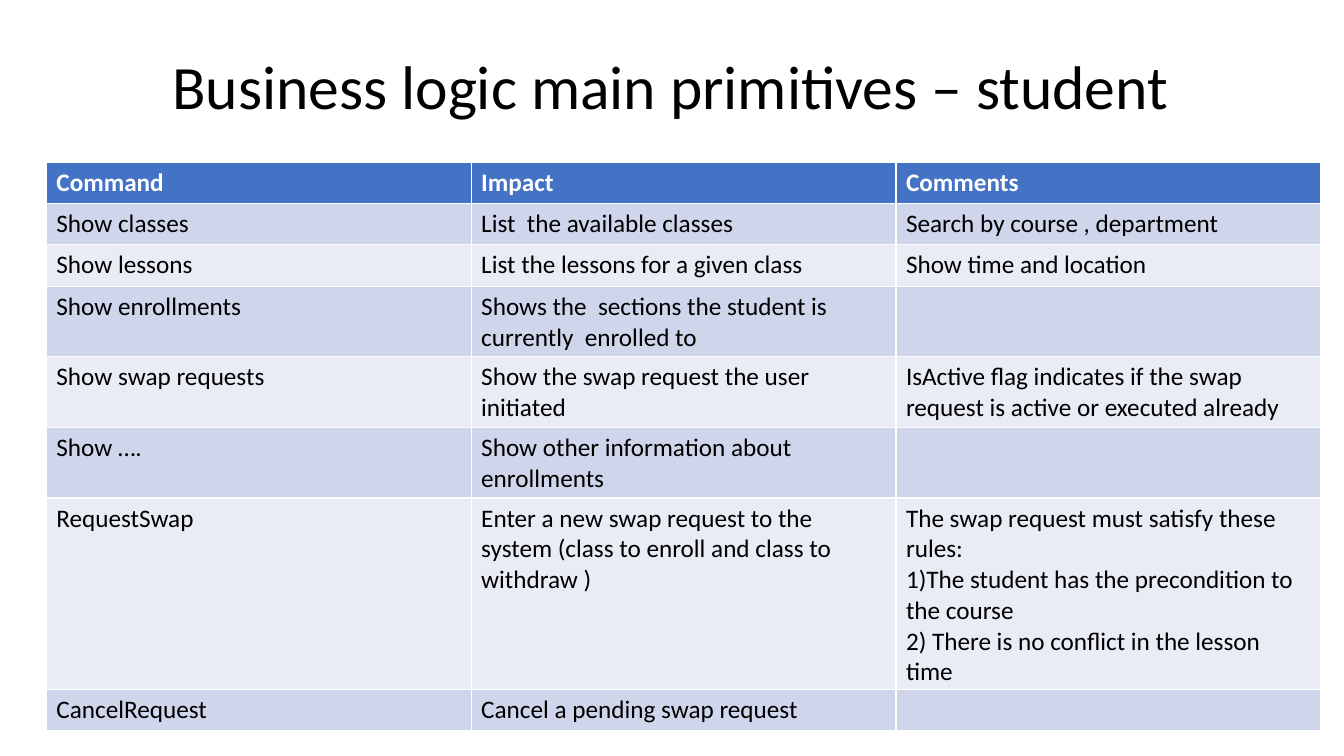
import dataclasses

import pptx
import pptx.dml.color
import pptx.enum.text
import pptx.util

Inches = pptx.util.Inches
FONT = "Calibri"
BLACK, WHITE = "000000", "FFFFFF"
HEAD, DARK, LIGHT = "4472C4", "CFD5EA", "E9EBF5"


@dataclasses.dataclass
class Entry:
    name: str
    impact: str
    notes: tuple[str, ...] = ()


TOP = Entry("Command", "Impact", ("Comments",))
ENTRIES = [
    Entry("Show classes", "List  the available classes", ("Search by course , department",)),
    Entry("Show lessons", "List the lessons for a given class", ("Show time and location",)),
    Entry("Show enrollments", "Shows the  sections the student is currently  enrolled to"),
    Entry("Show swap requests", "Show the swap request the user initiated",
          ("IsActive flag indicates if the swap request is active or executed already",)),
    Entry("Show ….", "Show other information about enrollments"),
    Entry("RequestSwap",
          "Enter a new swap request to the system (class to enroll and class to withdraw )",
          ("The swap request must satisfy these rules:",
           "1)The student has the precondition to the course",
           "2) There is no conflict in the lesson time")),
    Entry("CancelRequest", "Cancel a pending swap request"),
]


def color(value: str) -> pptx.dml.color.RGBColor:
    return pptx.dml.color.RGBColor.from_string(value)


def write(frame, lines: tuple[str, ...], size: float, ink: str, bold: bool = False) -> None:
    """Put each line in a paragraph of its own."""
    for i, line in enumerate(lines):
        para = frame.paragraphs[0] if i == 0 else frame.add_paragraph()
        run = para.add_run()
        run.text = line
        run.font.name = FONT
        run.font.size = pptx.util.Pt(size)
        run.font.bold = bold
        run.font.color.rgb = color(ink)


def add_title(slide, text: str) -> None:
    box = slide.shapes.add_textbox(Inches(0.92), Inches(0.16), Inches(11.5), Inches(1.45))
    frame = box.text_frame
    frame.word_wrap = True
    frame.margin_left = Inches(0.79)
    frame.vertical_anchor = pptx.enum.text.MSO_ANCHOR.MIDDLE
    write(frame, (text,), 44, BLACK)
    frame.paragraphs[0].line_spacing = 0.9


def add_grid(slide, entries: list[Entry]) -> None:
    rows = [TOP, *entries]
    shape = slide.shapes.add_table(len(rows), 3, Inches(0.46), Inches(1.61),
                                   Inches(12.64), Inches(5.62))
    table = shape.table
    for r, entry in enumerate(rows):
        table.rows[r].height = Inches(0.41)
        first = r == 0
        fill = HEAD if first else DARK if r % 2 else LIGHT
        for c, lines in enumerate(((entry.name,), (entry.impact,), entry.notes)):
            cell = table.cell(r, c)
            cell.fill.solid()
            cell.fill.fore_color.rgb = color(fill)
            write(cell.text_frame, lines, 18, WHITE if first else BLACK, first)
    shape.height = Inches(5.62)


def main() -> None:
    deck = pptx.Presentation()
    deck.slide_width, deck.slide_height = Inches(13.33), Inches(7.5)
    slide = deck.slides.add_slide(deck.slide_layouts[6])
    add_title(slide, "Business logic main primitives – student")
    add_grid(slide, ENTRIES)
    deck.save("out.pptx")


if __name__ == "__main__":
    main()
